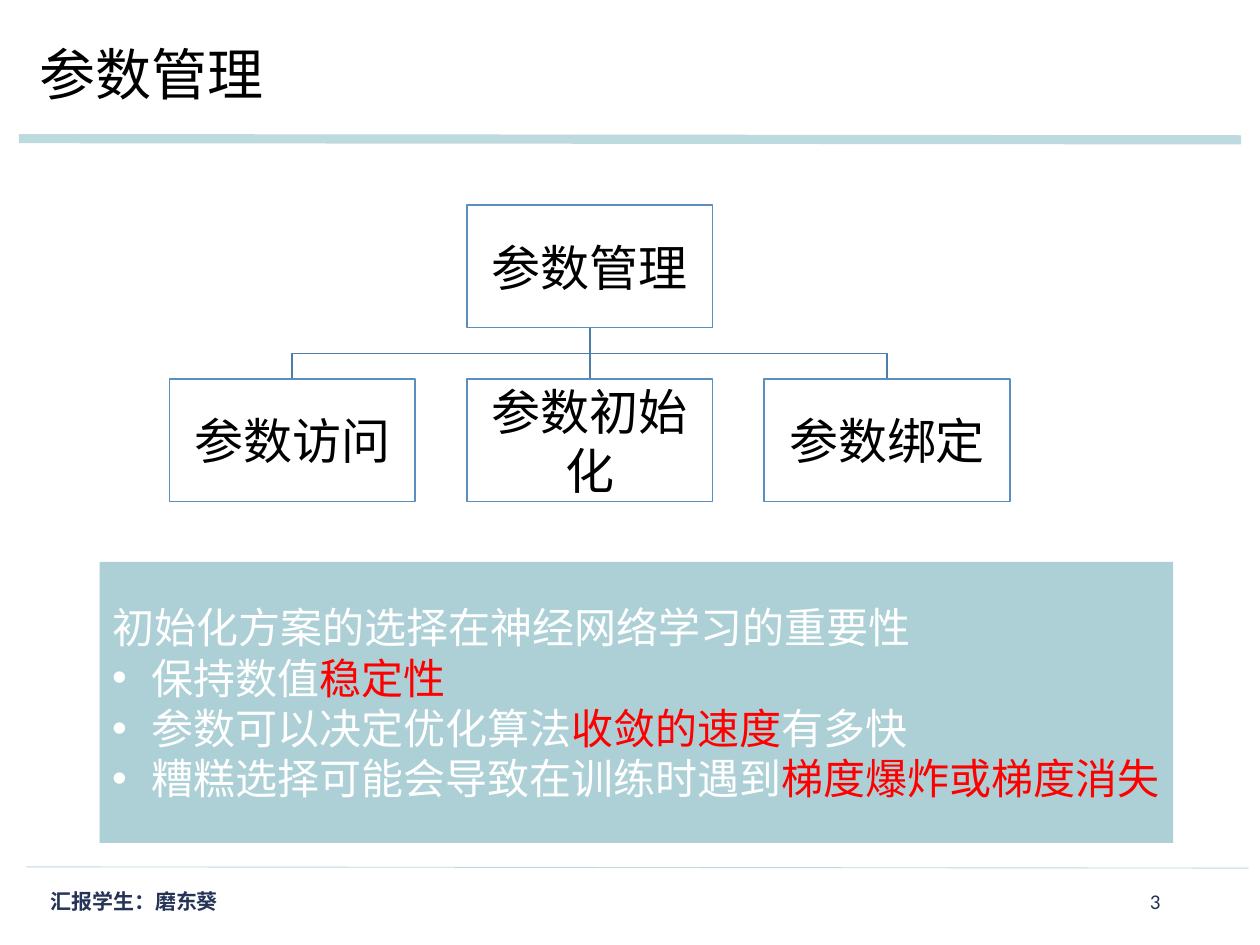
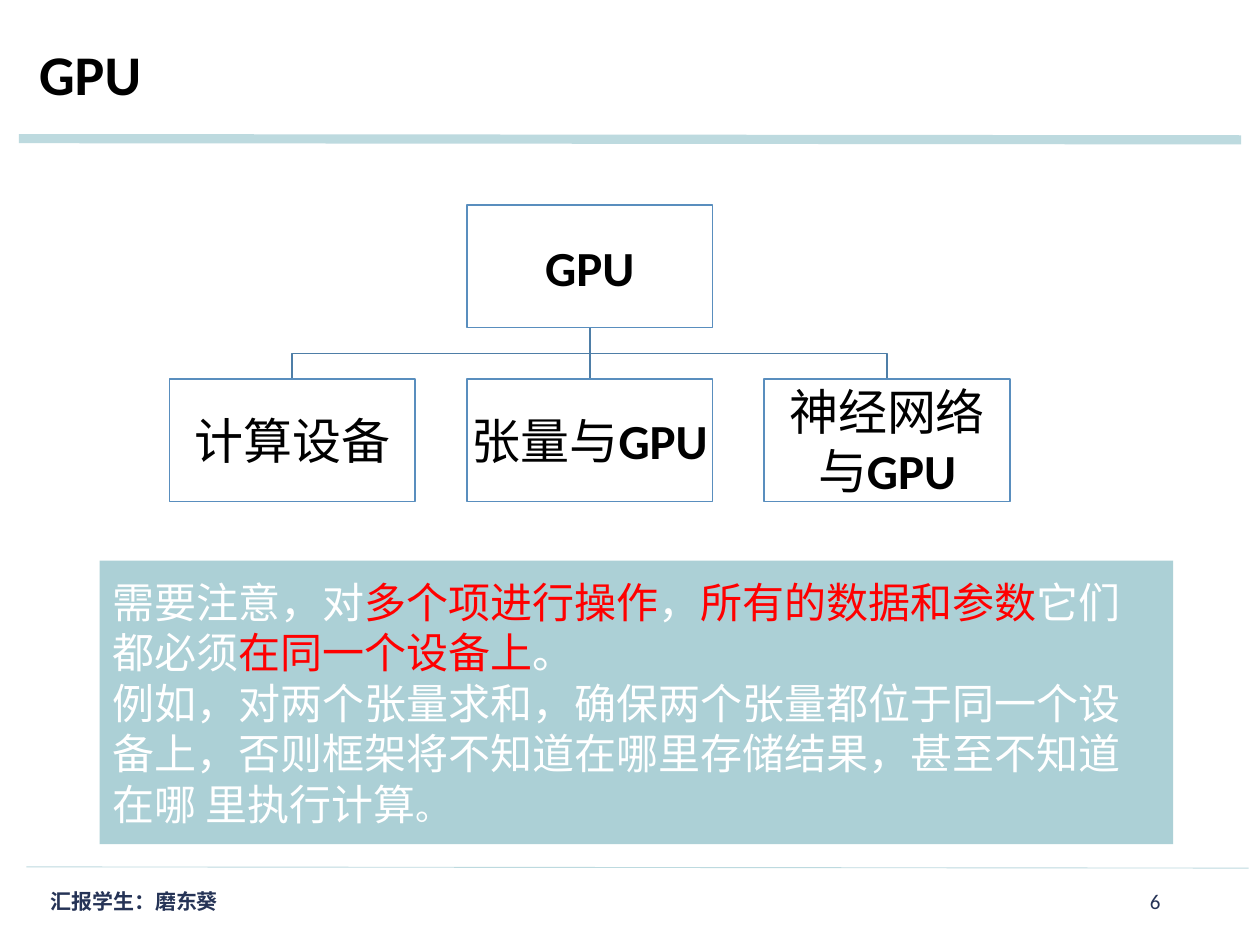
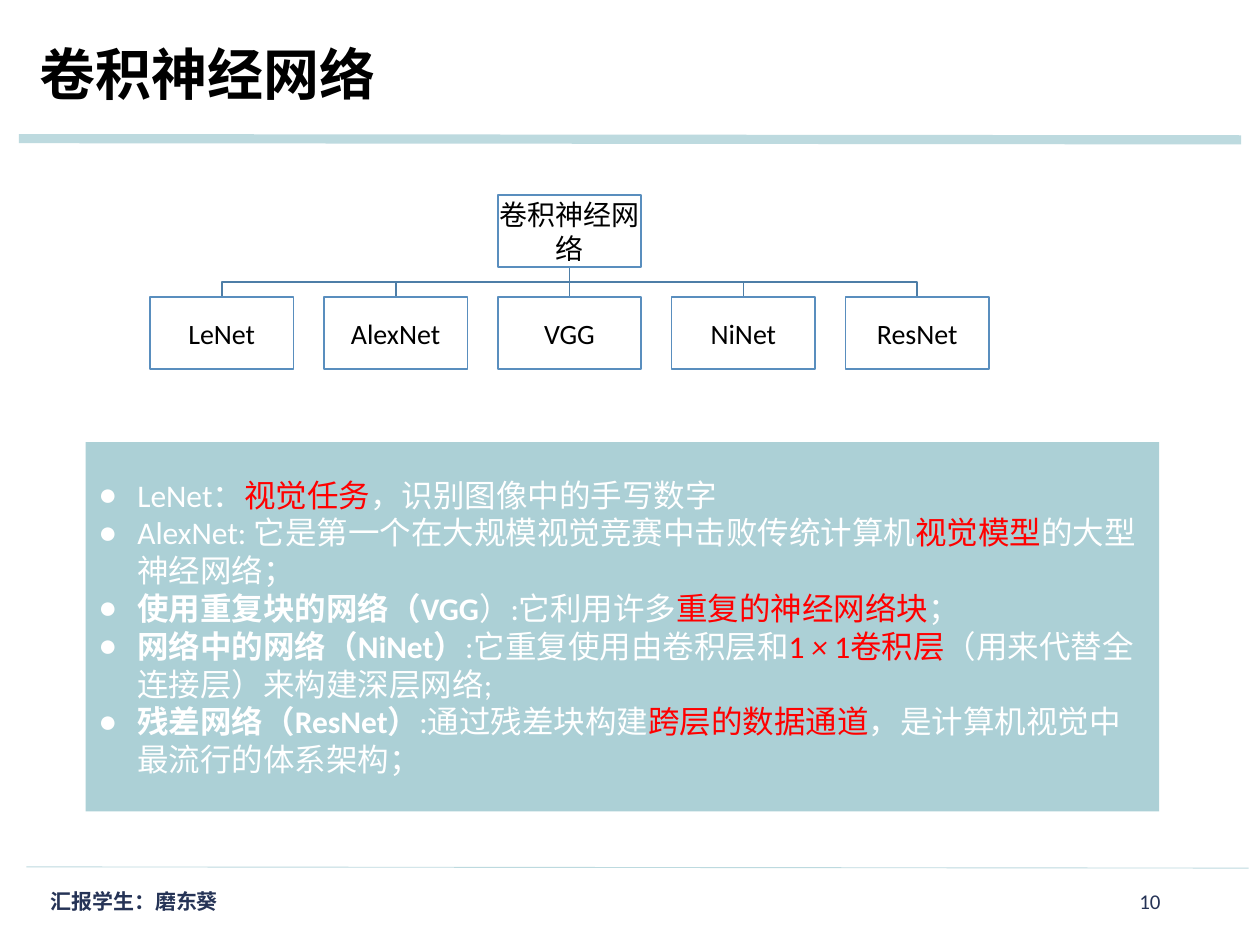
from lxml import etree
from pptx import Presentation
from pptx import util as u
from pptx.dml.color import RGBColor
from pptx.enum import shapes, text
from pptx.oxml.ns import qn

FONT = "Calibri"
BLACK = RGBColor(0x00, 0x00, 0x00)
WHITE = RGBColor(0xFF, 0xFF, 0xFF)
RED = RGBColor(0xFF, 0x00, 0x00)
NAVY = RGBColor(0x25, 0x33, 0x56)
BAND = RGBColor(0xBD, 0xDA, 0xDF)
TEAL = RGBColor(0x5A, 0xA2, 0xAE)
BOX_LINE = RGBColor(0x59, 0x8E, 0xBE)
BRANCH_LINE = RGBColor(0x4E, 0x7E, 0xA7)
FOOTER = "汇报学生：磨东葵"

LARGE_TREE = dict(center=4.68, root_top=1.63, child_top=3.01, width=1.95,
                  height=0.97, pitch=2.36, size=28, inset=0.02)
SMALL_TREE = dict(center=4.52, root_top=1.55, child_top=2.36, width=1.14,
                  height=0.57, pitch=1.38, size=16, inset=0.01)


class Deck:
    def __init__(self):
        self.presentation = Presentation()
        self.presentation.slide_width = u.Inches(10)
        self.presentation.slide_height = u.Inches(7.5)
        self.slide = None

    def add_slide(self, title, number, bold=True):
        layout = self.presentation.slide_layouts[1]
        self.slide = self.presentation.slides.add_slide(layout)
        self.line((0.15, 1.1), (9.85, 1.11), BAND, 5.25)
        self.line((0.21, 6.88), (9.91, 6.89), BAND, 0.5)
        shape = self.slide.shapes.title
        self.place(shape, 0.21, 0.26, 8.72, 0.64)
        self.prepare(shape.text_frame, text.MSO_ANCHOR.TOP)
        self.fill_runs(shape.text_frame.paragraphs[0],
                       [(title, "b" if bold else "")], 32, BLACK)
        self.label(number, 7.06, 2.25, text.PP_ALIGN.RIGHT)
        self.label(FOOTER, 0.3, 6, text.PP_ALIGN.LEFT, "b")

    def place(self, shape, left, top, width, height):
        shape.left, shape.top = u.Inches(left), u.Inches(top)
        shape.width, shape.height = u.Inches(width), u.Inches(height)

    def prepare(self, frame, anchor):
        frame.word_wrap = True
        frame.auto_size = text.MSO_AUTO_SIZE.NONE
        frame.vertical_anchor = anchor

    def fill_runs(self, paragraph, segments, size, color, align=text.PP_ALIGN.LEFT):
        paragraph.alignment = align
        for words, flags in segments:
            run = paragraph.add_run()
            run.text = words
            run.font.name = FONT
            run.font.size = u.Pt(20 if "s" in flags else size)
            run.font.bold = "b" in flags
            run.font.italic = "i" in flags
            run.font.color.rgb = RED if "r" in flags else color

    def label(self, words, left, width, align, flags=""):
        shape = self.slide.shapes.add_textbox(
            u.Inches(left), u.Inches(6.95), u.Inches(width), u.Inches(0.4))
        self.prepare(shape.text_frame, text.MSO_ANCHOR.MIDDLE)
        self.fill_runs(shape.text_frame.paragraphs[0], [(words, flags)], 12, NAVY, align)

    def line(self, start, end, color, weight):
        ends = [u.Inches(value) for value in (*start, *end)]
        connector = self.slide.shapes.add_connector(shapes.MSO_CONNECTOR.STRAIGHT, *ends)
        connector.line.color.rgb = color
        connector.line.width = u.Pt(weight)
        etree.SubElement(connector.element.spPr, qn("a:effectLst"))

    def branch(self, start, end):
        if start[0] == end[0]:
            self.line(start, end, BRANCH_LINE, 1)
            return
        middle = (start[1] + end[1]) / 2
        points = [start, (start[0], middle), (end[0], middle), end]
        points = [(u.Inches(x), u.Inches(y)) for x, y in points]
        builder = self.slide.shapes.build_freeform(*points[0])
        builder.add_line_segments(points[1:], close=False)
        shape = builder.convert_to_shape()
        shape.shadow.inherit = False
        shape.fill.background()
        shape.line.color.rgb = BRANCH_LINE
        shape.line.width = u.Pt(1)

    def box(self, segments, center, top, width, height, size, inset):
        shape = self.slide.shapes.add_shape(
            shapes.MSO_SHAPE.RECTANGLE, u.Inches(center - width / 2), u.Inches(top),
            u.Inches(width), u.Inches(height))
        shape.shadow.inherit = False
        shape.fill.solid()
        shape.fill.fore_color.rgb = WHITE
        shape.line.color.rgb = BOX_LINE
        shape.line.width = u.Pt(1)
        frame = shape.text_frame
        self.prepare(frame, text.MSO_ANCHOR.MIDDLE)
        frame.margin_left = frame.margin_right = u.Inches(inset)
        frame.margin_top = frame.margin_bottom = u.Inches(inset)
        self.fill_runs(frame.paragraphs[0], segments, size, BLACK, text.PP_ALIGN.CENTER)

    def tree(self, root, children, center, root_top, child_top, width, height,
             pitch, size, inset):
        middle = len(children) // 2
        centers = [center + (index - middle) * pitch for index in range(len(children))]
        for child_center in centers:
            self.branch((center, root_top + height), (child_center, child_top))
        self.box(root, center, root_top, width, height, size, inset)
        for child, child_center in zip(children, centers):
            self.box(child, child_center, child_top, width, height, size, inset)

    def panel(self, items, left, top, height, size):
        shape = self.slide.placeholders[1]
        self.place(shape, left, top, 8.52, height)
        shape.fill.solid()
        shape.fill.fore_color.rgb = TEAL
        color = shape.element.spPr.find(qn("a:solidFill")).find(qn("a:srgbClr"))
        etree.SubElement(color, qn("a:alpha"), val="50000")
        frame = shape.text_frame
        self.prepare(frame, text.MSO_ANCHOR.MIDDLE)
        for index, (mark, segments) in enumerate(items):
            paragraph = frame.add_paragraph() if index else frame.paragraphs[0]
            self.fill_runs(paragraph, segments, size, WHITE)
            paragraph.space_before = u.Pt(0)
            self.bullet(paragraph, mark)

    def bullet(self, paragraph, mark):
        properties = paragraph._p.get_or_add_pPr()
        indent = u.Inches(0.31) if mark else 0
        properties.set("marL", str(indent))
        properties.set("indent", str(-indent))
        if mark:
            etree.SubElement(properties, qn("a:buChar"), char=mark)
        else:
            etree.SubElement(properties, qn("a:buNone"))


def main():
    deck = Deck()

    deck.add_slide("参数管理", "3", bold=False)
    deck.tree([("参数管理", "")],
              [[("参数访问", "")], [("参数初始化", "")], [("参数绑定", "")]], **LARGE_TREE)
    deck.panel([
        ("", [("初始化方案的选择在神经网络学习的重要性", "")]),
        ("•", [("保持数值", ""), ("稳定性", "r")]),
        ("•", [("参数可以决定优化算法", ""), ("收敛的速度", "r"), ("有多快", "")]),
        ("•", [("糟糕选择可能会导致在训练时遇到", ""), ("梯度爆炸或梯度消失", "r")]),
    ], 0.79, 4.46, 2.23, 24)

    deck.add_slide("GPU", "6")
    deck.tree([("GPU", "b")],
              [[("计算设备", "")], [("张量与", ""), ("GPU", "b")],
               [("神经网络与", ""), ("GPU", "b")]], **LARGE_TREE)
    deck.panel([
        ("", [("需要注意，对", ""), ("多个项进行操作", "r"), ("，", ""),
              ("所有的数据和参数", "r"), ("它们都必须", ""),
              ("在同一个设备上", "r"), ("。", "")]),
        ("", [("例如，对两个张量求和，确保两个张量都位于同一个设备上，"
               "否则框架将不知道在哪里存储结果，甚至不知道在哪 里执行计算", ""), ("。", "s")]),
    ], 0.79, 4.45, 2.25, 24)

    deck.add_slide("卷积神经网络", "10")
    networks = ["LeNet", "AlexNet", "VGG", "NiNet", "ResNet"]
    deck.tree([("卷积神经网络", "")], [[(name, "")] for name in networks], **SMALL_TREE)
    deck.panel([
        ("●", [("LeNet：", ""), ("视觉任务", "r"), ("，识别图像中的手写数字", "")]),
        ("●", [("AlexNet: 它是第一个在大规模视觉竞赛中击败传统计算机", ""),
               ("视觉模型", "r"), ("的大型神经网络；", "")]),
        ("●", [("使用重复块的网络（VGG", "b"), ("）:它利用许多", ""),
               ("重复的神经网络块", "r"), ("；", "")]),
        ("●", [("网络中的网络（NiNet）", "b"), (":它重复使用由卷积层和", ""),
               ("1 ", "r"), ("× ", "ri"), ("1卷积层", "r"),
               ("（用来代替全连接层）来构建深层网络;", "")]),
        ("●", [("残差网络（ResNet）", "b"), (":通过残差块构建", ""),
               ("跨层的数据通道", "r"), ("，是计算机视觉中最流行的体系架构；", "")]),
    ], 0.68, 3.51, 2.93, 18)

    deck.presentation.save("out.pptx")


if __name__ == "__main__":
    main()
